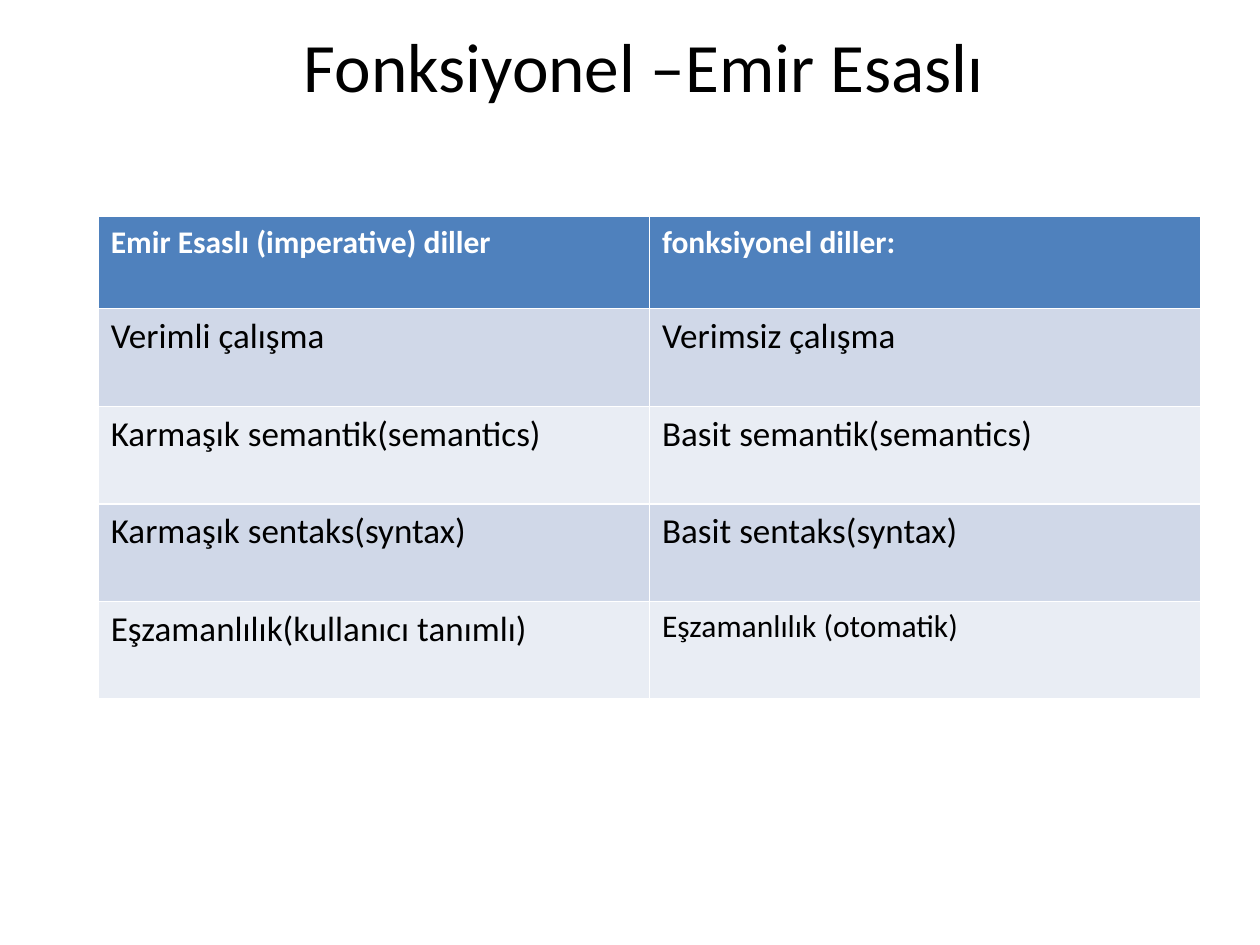
"""Build a slide comparing imperative and functional languages."""
from pptx import Presentation, util as u
from pptx.dml.color import RGBColor
from pptx.enum import text

THEME = {
    "font": "Calibri", "ink": "000000", "header_ink": "FFFFFF",
    "header_fill": "4F81BD", "bands": ("D0D8E8", "E9EDF4"),
    "title": 39.6, "header": 18, "body": 20, "note": 18,
}
COMPARISON = [
    ("Emir Esaslı (imperative) diller", "fonksiyonel diller:"),
    ("Verimli çalışma", "Verimsiz çalışma"),
    ("Karmaşık semantik(semantics)", "Basit semantik(semantics)"),
    ("Karmaşık sentaks(syntax)", "Basit sentaks(syntax)"),
    ("Eşzamanlılık(kullanıcı tanımlı)", "Eşzamanlılık (otomatik)"),
]
HEADER_HEIGHT, ROW_HEIGHT, COLUMN_WIDTH = u.Inches(0.73), u.Inches(0.775), u.Inches(4.375)


def write(frame, wording, size, ink, bold=False):
    frame.text = wording
    font = frame.paragraphs[0].runs[0].font
    for key, value in {"name": THEME["font"], "size": u.Pt(size), "bold": bold}.items():
        setattr(font, key, value)
    font.color.rgb = RGBColor.from_string(ink)


deck = Presentation()
deck.slide_width, deck.slide_height = u.Inches(10), u.Inches(7.5)
slide = deck.slides.add_slide(deck.slide_layouts[5])

heading = slide.shapes.title
placement = {"left": 0.55, "top": 0.17, "width": 9.12, "height": 0.69}
for side, inches in placement.items():
    setattr(heading, side, u.Inches(inches))
write(heading.text_frame, "Fonksiyonel –Emir Esaslı", THEME["title"], THEME["ink"])
heading.text_frame.vertical_anchor = text.MSO_ANCHOR.MIDDLE
heading.text_frame.auto_size = text.MSO_AUTO_SIZE.NONE
heading.text_frame.paragraphs[0].alignment = text.PP_ALIGN.CENTER

comparison = slide.shapes.add_table(
    len(COMPARISON), 2, u.Inches(0.78), u.Inches(1.72),
    2 * COLUMN_WIDTH, HEADER_HEIGHT + (len(COMPARISON) - 1) * ROW_HEIGHT).table
for column in comparison.columns:
    column.width = COLUMN_WIDTH

for r, wordings in enumerate(COMPARISON):
    is_header = r == 0
    comparison.rows[r].height = HEADER_HEIGHT if is_header else ROW_HEIGHT
    fill = THEME["header_fill"] if is_header else THEME["bands"][(r - 1) % 2]
    ink = THEME["header_ink"] if is_header else THEME["ink"]
    for c, wording in enumerate(wordings):
        cell = comparison.cell(r, c)
        cell.fill.solid()
        cell.fill.fore_color.rgb = RGBColor.from_string(fill)
        is_note = (r, c) == (len(COMPARISON) - 1, 1)
        role = "header" if is_header else "note" if is_note else "body"
        write(cell.text_frame, wording, THEME[role], ink, is_header)

deck.save("out.pptx")
